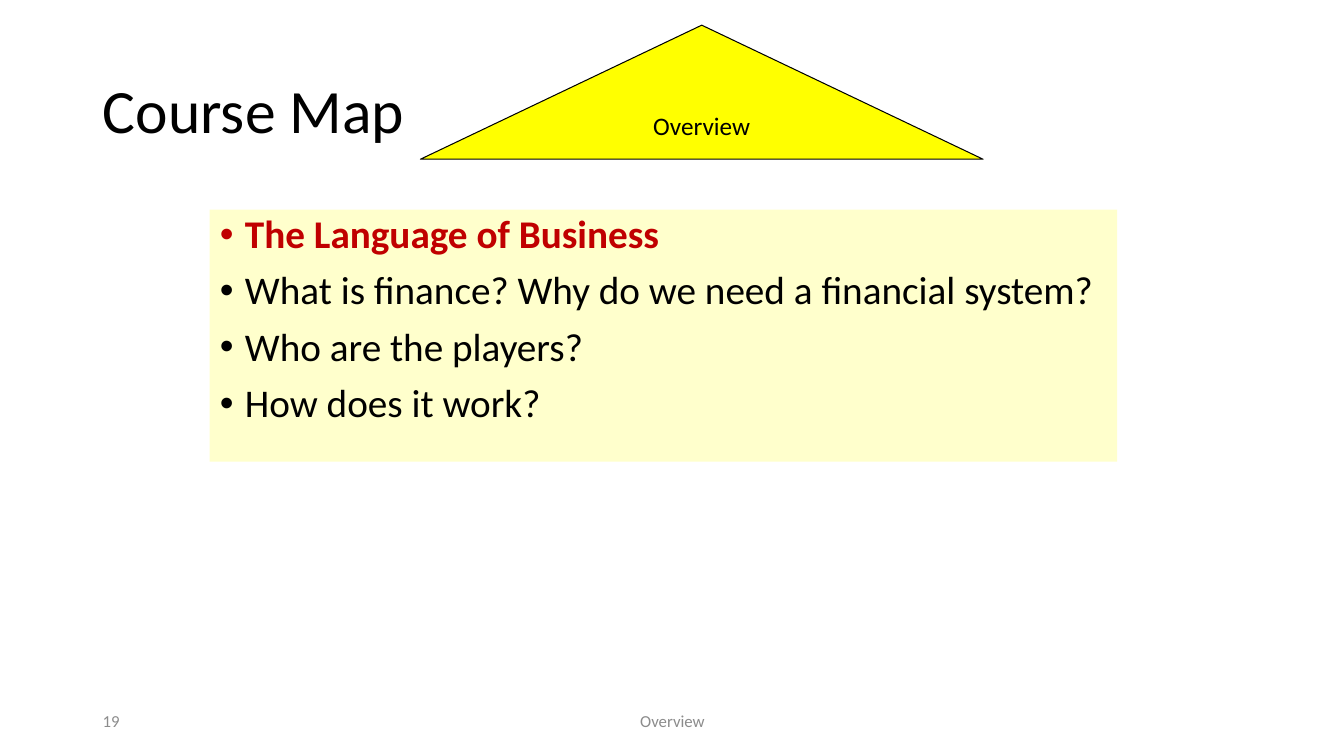
import pptx
import pptx.util
import pptx.dml.color
import pptx.enum.shapes
import pptx.enum.text
import pptx.oxml.ns
from lxml import etree

Inches, Pt = pptx.util.Inches, pptx.util.Pt
ALIGN = pptx.enum.text.PP_ALIGN
MIDDLE = pptx.enum.text.MSO_ANCHOR.MIDDLE

COLORS = {
    "text": "000000",
    "current": "C00000",
    "footer": "8C8C8C",
    "roof": "FFFF00",
    "panel": "FFFFCC",
}
TOPICS = [
    "The Language of Business",
    "What is finance? Why do we need a financial system?",
    "Who are the players?",
    "How does it work?",
]


def rgb(name):
    return pptx.dml.color.RGBColor.from_string(COLORS[name])


def place(shape, box):
    shape.left, shape.top, shape.width, shape.height = map(Inches, box)


def style(paragraph, size, color, align=ALIGN.LEFT, bold=False):
    paragraph.alignment = align
    font = paragraph.font
    font.name, font.size, font.bold = "Calibri", Pt(size), bold
    font.color.rgb = rgb(color)


def write_line(shape, text, size, color, align=ALIGN.LEFT, wrap=True):
    """Fill a shape with one vertically centred paragraph."""
    frame = shape.text_frame
    frame.text = text
    frame.word_wrap = wrap
    frame.auto_size = pptx.enum.text.MSO_AUTO_SIZE.NONE
    frame.vertical_anchor = MIDDLE
    style(frame.paragraphs[0], size, color, align)


def add_bullet(paragraph, indent):
    properties = paragraph._p.get_or_add_pPr()
    properties.set("marL", str(Inches(indent)))
    properties.set("indent", str(-Inches(indent)))
    for tag, key, value in (("a:buFont", "typeface", "Arial"), ("a:buChar", "char", "•")):
        etree.SubElement(properties, pptx.oxml.ns.qn(tag)).set(key, value)


def set_title(slide, box):
    title = slide.shapes.title
    place(title, box)
    write_line(title, "Course Map", 44, "text")
    title.text_frame.paragraphs[0].line_spacing = 0.9


def add_roof(slide, box):
    roof = slide.shapes.add_shape(
        pptx.enum.shapes.MSO_SHAPE.FLOWCHART_EXTRACT, *map(Inches, box))
    roof.shadow.inherit = False
    roof.fill.solid()
    roof.fill.fore_color.rgb = rgb("roof")
    roof.line.color.rgb = rgb("text")
    roof.line.width = Pt(0.75)
    write_line(roof, "Overview", 18, "text", ALIGN.CENTER, wrap=False)


def set_topics(slide, box, current):
    """List the topics on a panel and highlight the current one."""
    panel = slide.placeholders[1]
    place(panel, box)
    panel.fill.solid()
    panel.fill.fore_color.rgb = rgb("panel")
    frame = panel.text_frame
    frame.text = "\n".join(TOPICS)
    frame.auto_size = pptx.enum.text.MSO_AUTO_SIZE.NONE
    for index, topic in enumerate(frame.paragraphs):
        add_bullet(topic, 0.25)
        topic.line_spacing = 0.9
        topic.space_before = Pt(10 if index else 0)
        is_current = index == current
        style(topic, 28, "current" if is_current else "text", bold=is_current)


def add_footer(slide, box):
    left, top, width, height = box
    number = slide.shapes.add_textbox(*map(Inches, (left, top, 3, height)))
    write_line(number, "19", 12, "footer")
    section_width = 4.5
    section_left = left + (width - section_width) / 2
    section = slide.shapes.add_textbox(
        *map(Inches, (section_left, top, section_width, height)))
    write_line(section, "Overview", 12, "footer", ALIGN.CENTER)


def main():
    deck = pptx.Presentation()
    deck.slide_width, deck.slide_height = Inches(13.33), Inches(7.5)
    slide = deck.slides.add_slide(deck.slide_layouts[1])
    set_title(slide, (0.92, 0.4, 11.5, 1.45))
    set_topics(slide, (2.08, 2.08, 9, 2.5), current=0)
    add_roof(slide, (4.17, 0.25, 5.58, 1.33))
    add_footer(slide, (0.92, 6.95, 11.5, 0.4))
    deck.save("out.pptx")


if __name__ == "__main__":
    main()
